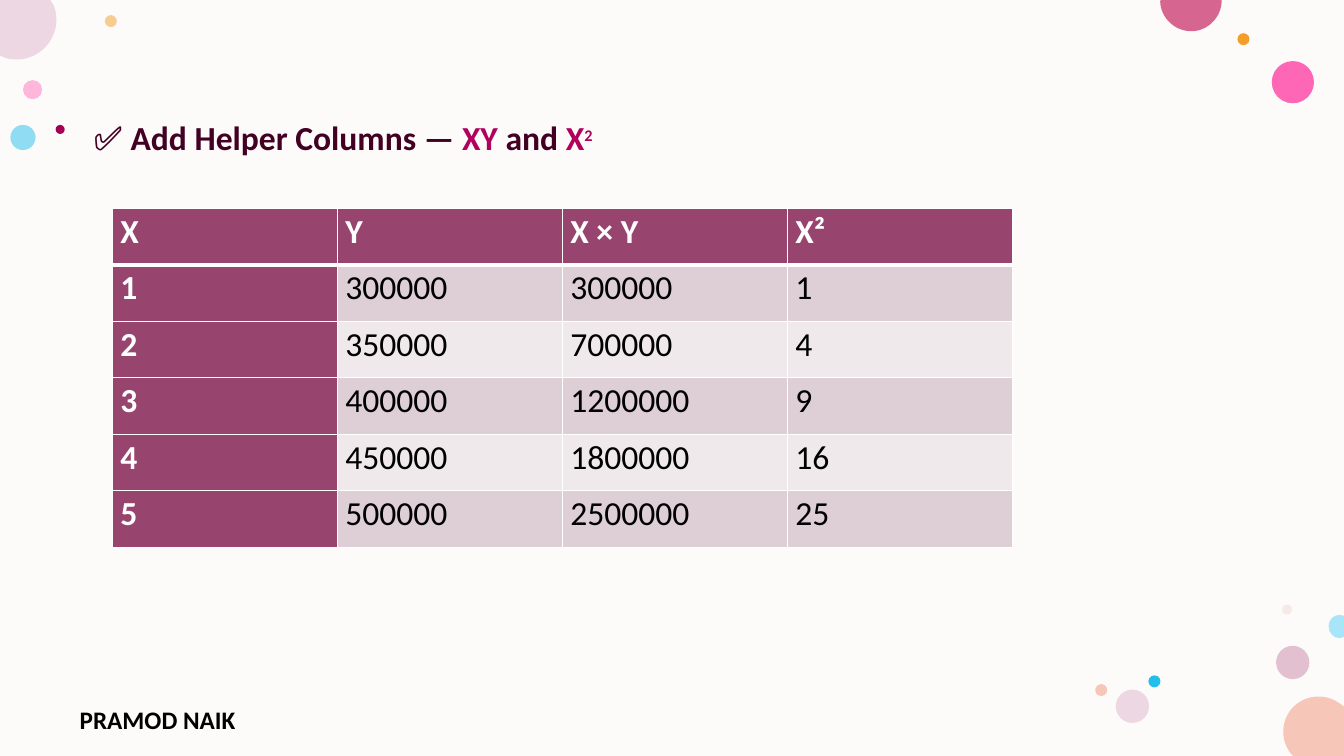
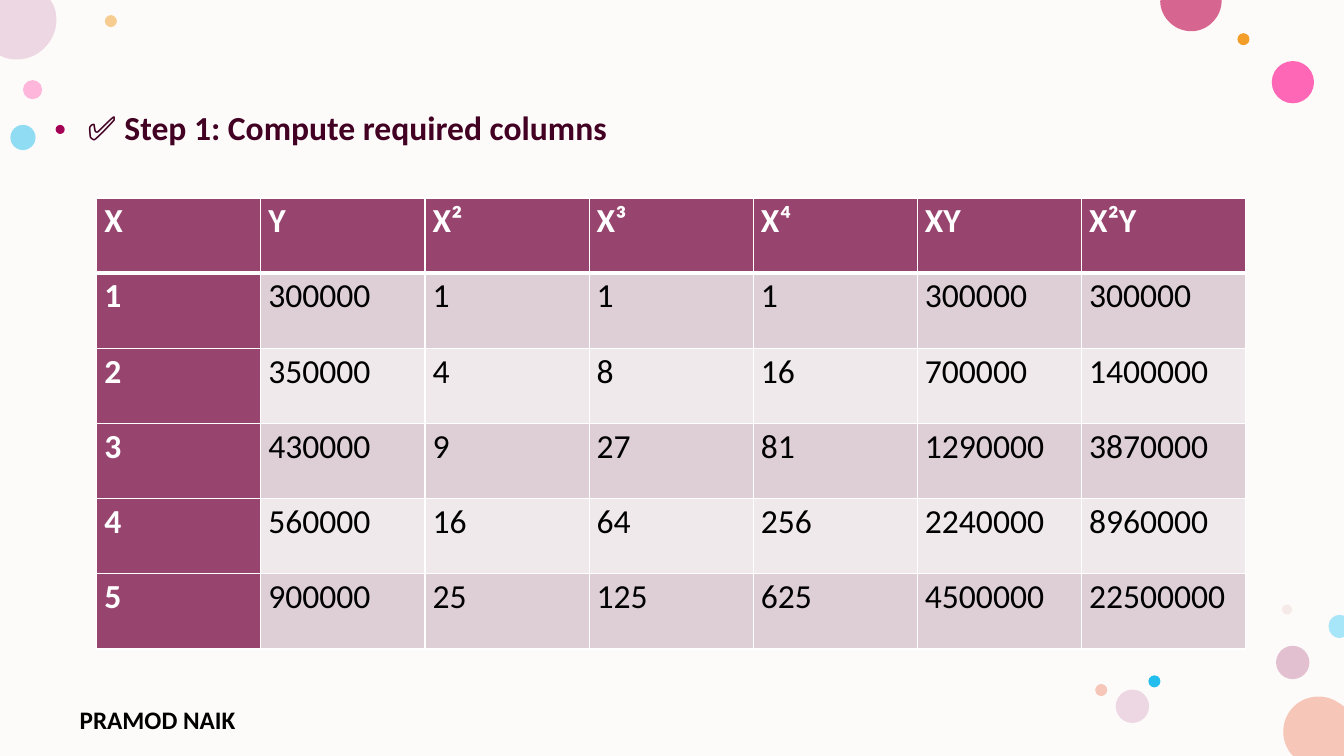
import itertools

import lxml.etree
import pptx
import pptx.dml.color
import pptx.enum.shapes
import pptx.oxml.ns
import pptx.util

Pt = pptx.util.Pt
qn = pptx.oxml.ns.qn
MSO_SHAPE = pptx.enum.shapes.MSO_SHAPE

WIDTH, HEIGHT = 960, 540
FONT = "Calibri"
BACKDROP, WHITE, BLACK = "FDFBF9", "FFFFFF", "000000"
HEADING, ACCENT = "420023", "B1005E"
TABLE_HEAD, BANDS = "97446E", ("DDCFD5", "EFE9EB")

CIRCLES = [
    (16.4, 57.2, 13.7, "FF75BD", 50),
    (74.9, 10.8, 8.6, "F39E29", 50),
    (911.5, 461.3, 23.8, "C987A8", 50),
    (7.4, 89.2, 18, "24BEEE", 50),
    (908.4, 43.6, 30.2, "FF2F9C", 72),
    (883.9, 23.7, 8.6, "F39E29", 100),
    (915.8, 431.8, 7.2, "E3BEBE", 28),
    (820.3, 482.4, 8.6, "24BEEE", 100),
    (797, 492.6, 23.8, "EDD7E2", 100),
    (782.3, 488.6, 8.6, "F6C7B9", 100),
    (39.7, 89.2, 6.5, "A40056", 100),
]
EDGE_CIRCLES = [
    ("F6C7B9", [
        (941.8, 497.5), (949, 497.5, 954.7, 500.4, 960, 504.7), (960, 540), (923.8, 540),
        (922.3, 538.6), (918.7, 534.2, 916.6, 528.5, 916.6, 522.7),
        (916.6, 508.3, 928.1, 497.5, 941.8, 497.5)]),
    ("EDD7E2", [
        (0, 0), (36, 0), (38.2, 3.6), (39.6, 6.5, 40.3, 10.1, 40.3, 14.4),
        (40.3, 29.5, 27.4, 42.5, 12.2, 42.5), (7.9, 42.5, 4.3, 41.8, 1.4, 40.3), (0, 39.6)]),
    ("D6658F", [
        (829.4, 0), (872.6, 0), (872.6, 0.7), (872.6, 12.2, 862.6, 22.3, 851, 22.3),
        (838.8, 22.3, 828.7, 12.2, 828.7, 0.7)]),
    ("A7E5F8", [
        (956.9, 439.2), (960, 439.9), (960, 455), (956.9, 455.8),
        (952.6, 455.8, 949, 452.2, 949, 447.1), (949, 442.8, 952.6, 439.2, 956.9, 439.2)]),
]


def color(value):
    return pptx.dml.color.RGBColor.from_string(value)


class Deck:
    def __init__(self):
        self.presentation = pptx.Presentation()
        self.presentation.slide_width = Pt(WIDTH)
        self.presentation.slide_height = Pt(HEIGHT)
        self.slide = None

    def add_slide(self):
        self.slide = self.presentation.slides.add_slide(self.presentation.slide_layouts[6])
        self.shape(MSO_SHAPE.RECTANGLE, 0, 0, WIDTH, HEIGHT, BACKDROP)
        for circle in CIRCLES:
            self.circle(*circle)
        for edge_circle in EDGE_CIRCLES:
            self.outline(*edge_circle)
        self.text(49.8, 499.7, 176.4, 23, [("PRAMOD NAIK", BLACK)], 18)

    def paint(self, shape, value):
        shape.shadow.inherit = False
        shape.fill.solid()
        shape.fill.fore_color.rgb = color(value)
        shape.line.fill.background()

    def shape(self, kind, left, top, width, height, value):
        shape = self.slide.shapes.add_shape(kind, Pt(left), Pt(top), Pt(width), Pt(height))
        self.paint(shape, value)
        return shape

    def circle(self, left, top, diameter, value, opacity):
        shape = self.shape(MSO_SHAPE.OVAL, left, top, diameter, diameter, value)
        if opacity < 100:
            fill_color = shape.element.spPr.find(qn("a:solidFill")).find(qn("a:srgbClr"))
            lxml.etree.SubElement(fill_color, qn("a:alpha"), val=str(opacity * 1000))

    def outline(self, value, segments):
        numbers = [Pt(number) for number in itertools.chain(*segments)]
        points = list(zip(numbers[::2], numbers[1::2]))
        builder = self.slide.shapes.build_freeform(*points[0])
        builder.add_line_segments(points[1:], close=True)
        shape = builder.convert_to_shape()
        self.paint(shape, value)
        lines = iter(list(shape.element.iter(qn("a:lnTo"))))
        for segment in segments[1:]:
            line = next(lines)
            if len(segment) == 6:
                curve = lxml.etree.Element(qn("a:cubicBezTo"))
                line.addprevious(curve)
                for control in (line, next(lines), next(lines)):
                    curve.append(control[0])
                    control.getparent().remove(control)

    def style(self, paragraph, size, bold):
        paragraph.font.name = FONT
        paragraph.font.size = Pt(size)
        paragraph.font.bold = bold

    def text(self, left, top, width, height, parts, size):
        box = self.slide.shapes.add_textbox(Pt(left), Pt(top), Pt(width), Pt(height))
        box.text_frame.word_wrap = True
        paragraph = box.text_frame.paragraphs[0]
        self.style(paragraph, size, True)
        for words, value in parts:
            run = paragraph.add_run()
            run.text = words
            run.font.color.rgb = color(value)
        return paragraph

    def heading(self, left, top, parts):
        paragraph = self.text(left, top, 858.2, 388, parts, 24)
        paragraph.line_spacing = 0.9
        return paragraph

    def border(self, cell, top, bottom):
        properties = cell._tc.get_or_add_tcPr()
        sides = (("a:lnL", 1), ("a:lnR", 1), ("a:lnT", top), ("a:lnB", bottom))
        for position, (side, width) in enumerate(sides):
            line = lxml.etree.Element(qn(side), w=str(Pt(width)))
            fill = lxml.etree.SubElement(line, qn("a:solidFill"))
            lxml.etree.SubElement(fill, qn("a:srgbClr"), val=WHITE)
            properties.insert(position, line)

    def cell(self, cell, value, row, column):
        is_head = row == 0 or column == 0
        cell.fill.solid()
        cell.fill.fore_color.rgb = color(TABLE_HEAD if is_head else BANDS[(row - 1) % 2])
        self.border(cell, 3 if row == 1 else 1, 3 if row == 0 else 1)
        cell.margin_left = cell.margin_right = Pt(5.4)
        cell.margin_top = cell.margin_bottom = 0
        cell.text = str(value)
        paragraph = cell.text_frame.paragraphs[0]
        paragraph.line_spacing = 1.07
        paragraph.space_after = Pt(8)
        self.style(paragraph, 24, is_head)
        paragraph.font.color.rgb = color(WHITE if is_head else BLACK)

    def table(self, left, top, column_width, row_height, rows):
        row_count, column_count = len(rows), len(rows[0])
        table = self.slide.shapes.add_table(
            row_count, column_count, Pt(left), Pt(top),
            Pt(column_width * column_count), Pt(row_height * row_count)).table
        table.first_col = True
        for column in table.columns:
            column.width = Pt(column_width)
        for row_index, values in enumerate(rows):
            table.rows[row_index].height = Pt(row_height)
            for column_index, value in enumerate(values):
                self.cell(table.cell(row_index, column_index), value, row_index, column_index)


def main():
    deck = Deck()

    deck.add_slide()
    heading = deck.heading(59.8, 83.1, [
        ("✅ Add Helper Columns — ", HEADING), ("XY", ACCENT),
        (" and ", HEADING), ("X", ACCENT), ("2", ACCENT)])
    exponent = heading.runs[-1]
    exponent.font.size = Pt(20)
    exponent._r.get_or_add_rPr().set("baseline", "30000")
    deck.table(80.6, 149, 160.75, 40.33, [
        ("X", "Y", "X × Y", "X²"),
        (1, 300000, 300000, 1),
        (2, 350000, 700000, 4),
        (3, 400000, 1200000, 9),
        (4, 450000, 1800000, 16),
        (5, 500000, 2500000, 25),
    ])

    deck.add_slide()
    deck.heading(55.4, 76.3, [("✅ Step 1: Compute required columns", HEADING)])
    deck.table(69.1, 141.45, 117.25, 53.7, [
        ("X", "Y", "X²", "X³", "X⁴", "XY", "X²Y"),
        (1, 300000, 1, 1, 1, 300000, 300000),
        (2, 350000, 4, 8, 16, 700000, 1400000),
        (3, 430000, 9, 27, 81, 1290000, 3870000),
        (4, 560000, 16, 64, 256, 2240000, 8960000),
        (5, 900000, 25, 125, 625, 4500000, 22500000),
    ])

    deck.presentation.save("out.pptx")


if __name__ == "__main__":
    main()
